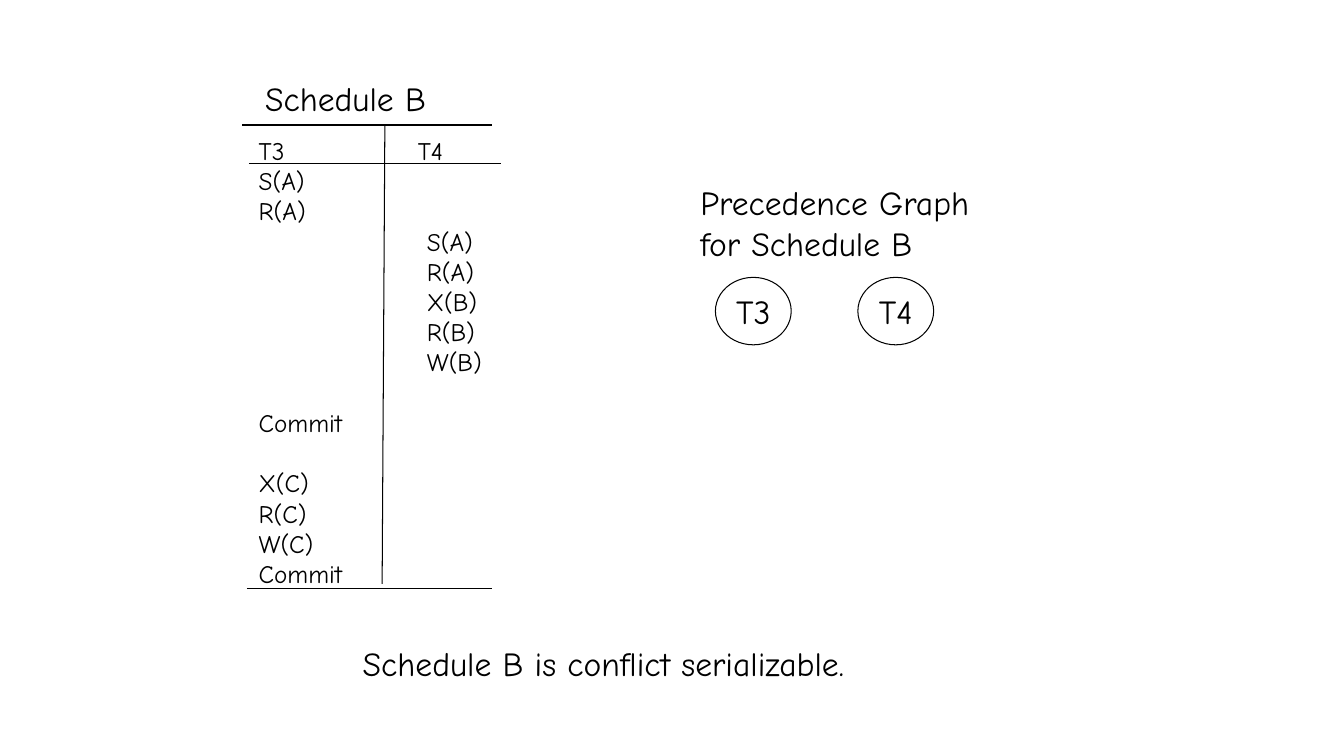
from pptx import Presentation
from pptx.dml.color import RGBColor
from pptx.enum.shapes import MSO_CONNECTOR, MSO_SHAPE
from pptx.enum.text import MSO_ANCHOR, PP_ALIGN
from pptx.oxml.ns import qn
from pptx.util import Cm, Pt
from lxml.etree import SubElement

BLACK = RGBColor(0, 0, 0)
ROW_HEIGHT = Pt(21.6)
HEADER_TAB = Cm(4.01)
OPERATION_TAB = Cm(4.24)


class SlideBuilder:
    font_name = "Comic Neue"
    line_width = Pt(0.75)

    def __init__(self, page):
        self.page = page

    def style(self, paragraph, size):
        paragraph.font.name = self.font_name
        paragraph.font.size = Pt(size)
        paragraph.font.color.rgb = BLACK

    def outline(self, line):
        line.color.rgb = BLACK
        line.width = self.line_width

    def frame(self, left, top, width, height):
        box = self.page.shapes.add_textbox(Cm(left), Cm(top), Cm(width), Cm(height))
        box.text_frame.word_wrap = True
        return box.text_frame

    def label(self, text, left, top, width, height):
        paragraph = self.frame(left, top, width, height).paragraphs[0]
        paragraph.text = text
        self.style(paragraph, 24)

    def schedule(self, rows, left, top, width, height):
        frame = self.frame(left, top, width, height)
        for index, (text, tab, skipped_rows) in enumerate(rows):
            paragraph = frame.paragraphs[0] if index == 0 else frame.add_paragraph()
            paragraph.text = text
            if tab:
                properties = paragraph._p.get_or_add_pPr()
                stops = SubElement(properties, qn("a:tabLst"))
                SubElement(stops, qn("a:tab"), pos=str(int(tab)), algn="l")
            if skipped_rows:
                paragraph.space_before = ROW_HEIGHT * skipped_rows
            self.style(paragraph, 18)

    def rule(self, start_x, start_y, end_x, end_y):
        line = self.page.shapes.add_connector(
            MSO_CONNECTOR.STRAIGHT, Cm(start_x), Cm(start_y), Cm(end_x), Cm(end_y))
        self.outline(line.line)
        SubElement(line._element.spPr, qn("a:effectLst"))

    def node(self, text, left, top, width, height):
        circle = self.page.shapes.add_shape(
            MSO_SHAPE.OVAL, Cm(left), Cm(top), Cm(width), Cm(height))
        circle.shadow.inherit = False
        circle.fill.background()
        self.outline(circle.line)
        frame = circle.text_frame
        frame.margin_left = frame.margin_right = 0
        frame.margin_top = frame.margin_bottom = 0
        frame.vertical_anchor = MSO_ANCHOR.MIDDLE
        frame.word_wrap = False
        paragraph = frame.paragraphs[0]
        paragraph.text = text
        paragraph.alignment = PP_ALIGN.CENTER
        self.style(paragraph, 24)


deck = Presentation()
deck.slide_width, deck.slide_height = Cm(33.87), Cm(19.05)
builder = SlideBuilder(deck.slides.add_slide(deck.slide_layouts[6]))

t4_operations = ["S(A)", "R(A)", "X(B)", "R(B)", "W(B)"]
schedule_rows = [
    ("T3\tT4", HEADER_TAB, 0),
    ("S(A)", None, 0),
    ("R(A)", None, 0),
    *[("\t" + operation, OPERATION_TAB, 0) for operation in t4_operations],
    ("Commit", None, 1),
    ("X(C)", None, 1),
    ("R(C)", None, 0),
    ("W(C)", None, 0),
    ("Commit", None, 0),
]
builder.schedule(schedule_rows, 6.27, 3.28, 6.81, 11.02)

for rule_ends in [
    (6.27, 4.11, 12.62, 4.11),
    (6.1, 3.15, 12.4, 3.15),
    (9.7, 3.15, 9.63, 14.71),
    (6.22, 14.83, 12.4, 14.83),
]:
    builder.rule(*rule_ends)

builder.label("Schedule B", 6.43, 1.85, 4.9, 1.27)
builder.label("Precedence Graph for Schedule B", 17.4, 4.47, 8.46, 2.31)
builder.label("Schedule B is conflict serializable.", 8.89, 16.08, 14.22, 1.27)

for transaction, left in [("T3", 18.03), ("T4", 21.62)]:
    builder.node(transaction, left, 6.99, 1.91, 1.7)

deck.save("out.pptx")
